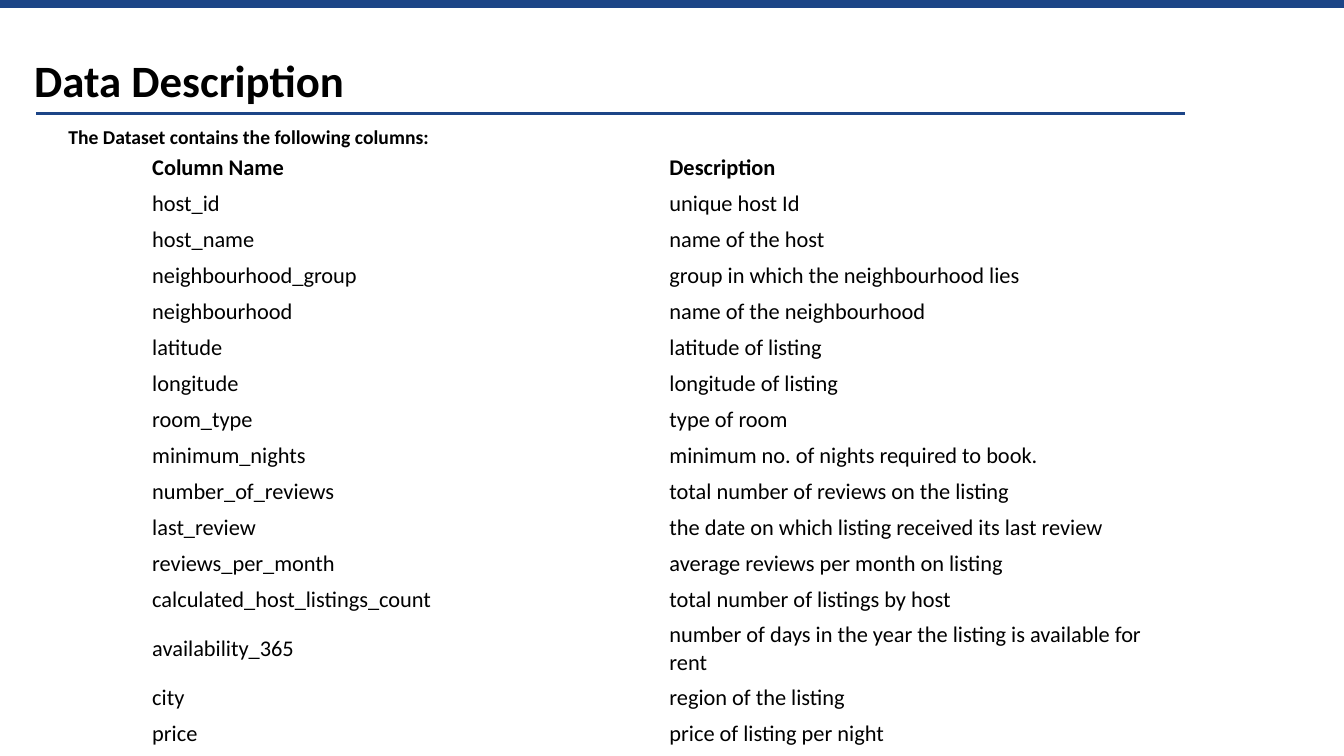
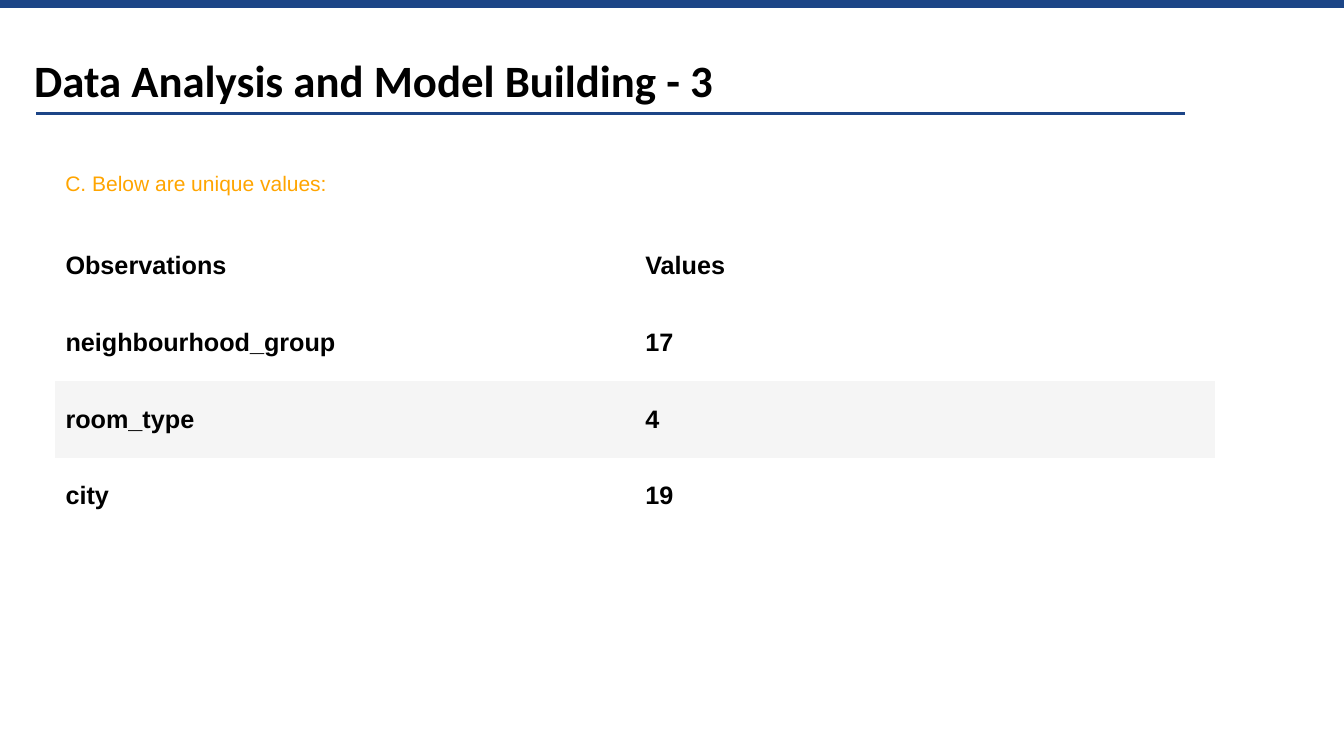
from lxml.etree import SubElement
from pptx import Presentation
from pptx.dml.color import RGBColor
from pptx.enum.shapes import MSO_CONNECTOR
from pptx.enum.text import MSO_ANCHOR
from pptx.oxml.ns import qn
from pptx.util import Inches, Pt

COLORS = {
    "navy": "1C4587",
    "black": "000000",
    "white": "FFFFFF",
    "band": "F5F5F5",
    "orange": "FFA500",
}
PLAIN_TABLE_STYLE = "{2D5ABB26-0587-4C30-8999-92F81FD0307C}"
SLIDE_WIDTH, SLIDE_HEIGHT = 13.33, 7.5

DATASET_COLUMNS = [
    ("Column Name", "Description"),
    ("host_id", "unique host Id"),
    ("host_name", "name of the host"),
    ("neighbourhood_group", "group in which the neighbourhood lies"),
    ("neighbourhood", "name of the neighbourhood"),
    ("latitude", "latitude of listing"),
    ("longitude", "longitude of listing"),
    ("room_type", "type of room"),
    ("minimum_nights", "minimum no. of nights required to book."),
    ("number_of_reviews", "total number of reviews on the listing"),
    ("last_review", "the date on which listing received its last review"),
    ("reviews_per_month", "average reviews per month on listing"),
    ("calculated_host_listings_count", "total number of listings by host"),
    ("availability_365", "number of days in the year the listing is available for rent"),
    ("city", "region of the listing"),
    ("price", "price of listing per night"),
]
UNIQUE_VALUES = [
    ("Observations", "Values"),
    ("neighbourhood_group", "17"),
    ("room_type", "4"),
    ("city", "19"),
]


def color(name):
    return RGBColor.from_string(COLORS[name])


def style_paragraph(paragraph, font_name, size, bold=False, color_name="black"):
    font = paragraph.font
    font.name, font.size, font.bold = font_name, Pt(size), bold
    font.color.rgb = color(color_name)


def add_text(slide, box, text, font_name, size, bold=False, color_name="black",
             anchor=MSO_ANCHOR.MIDDLE):
    frame = slide.shapes.add_textbox(*map(Inches, box)).text_frame
    frame.word_wrap = True
    frame.vertical_anchor = anchor
    frame.text = text
    style_paragraph(frame.paragraphs[0], font_name, size, bold, color_name)


def add_rule(slide, left, right, top, weight):
    rule = slide.shapes.add_connector(
        MSO_CONNECTOR.STRAIGHT, Inches(left), Inches(top), Inches(right), Inches(top))
    rule.line.color.rgb = color("navy")
    rule.line.width = Pt(weight)
    SubElement(rule.element.spPr, qn("a:effectLst"))


def add_titled_slide(presentation, title):
    slide = presentation.slides.add_slide(presentation.slide_layouts[6])
    add_rule(slide, 0.36, 11.75, 1.13, 2)
    add_rule(slide, 0, SLIDE_WIDTH, 0.04, 6)
    add_text(slide, (0.24, 0.47, 11.5, 0.64), title, "Calibri", 32, True,
             anchor=MSO_ANCHOR.TOP)
    return slide


def add_plain_table(slide, box, rows, font_name, size, bold_rows, band_rows=(),
                    margins=(0.1, 0.05, 0.05)):
    frame = slide.shapes.add_table(len(rows), len(rows[0]), *map(Inches, box))
    table = frame.table
    table.first_row = table.horz_banding = False
    table._tbl.tblPr.find(qn("a:tableStyleId")).text = PLAIN_TABLE_STYLE
    side, top, bottom = map(Inches, margins)
    for row_index, row in enumerate(rows):
        for column_index, text in enumerate(row):
            cell = table.cell(row_index, column_index)
            cell.text = text
            cell.vertical_anchor = MSO_ANCHOR.MIDDLE
            cell.margin_left = cell.margin_right = side
            cell.margin_top, cell.margin_bottom = top, bottom
            cell.fill.solid()
            cell.fill.fore_color.rgb = color("band" if row_index in band_rows else "white")
            style_paragraph(cell.text_frame.paragraphs[0], font_name, size,
                            row_index in bold_rows)


def add_data_description(presentation):
    slide = add_titled_slide(presentation, "Data Description")
    add_plain_table(slide, (1.42, 1.48, 10.26, 0.3 * len(DATASET_COLUMNS)),
                    DATASET_COLUMNS, "Calibri", 16, bold_rows=(0,),
                    margins=(0.09, 0.05, 0.04))
    add_text(slide, (0.58, 1.19, 4.2, 0.34),
             "The Dataset contains the following columns:", "Calibri", 14, True)


def add_unique_values(presentation):
    slide = add_titled_slide(presentation, "Data Analysis and Model Building - 3")
    add_plain_table(slide, (0.55, 2.26, 11.5, 0.76 * len(UNIQUE_VALUES)), UNIQUE_VALUES,
                    "Arial", 18, bold_rows=range(len(UNIQUE_VALUES)), band_rows=(2,))
    add_text(slide, (0.55, 1.64, 11.13, 0.35), "C. Below are unique values:", "Arial", 15,
             color_name="orange")


def main():
    presentation = Presentation()
    presentation.slide_width = Inches(SLIDE_WIDTH)
    presentation.slide_height = Inches(SLIDE_HEIGHT)
    add_data_description(presentation)
    add_unique_values(presentation)
    presentation.save("out.pptx")


if __name__ == "__main__":
    main()
